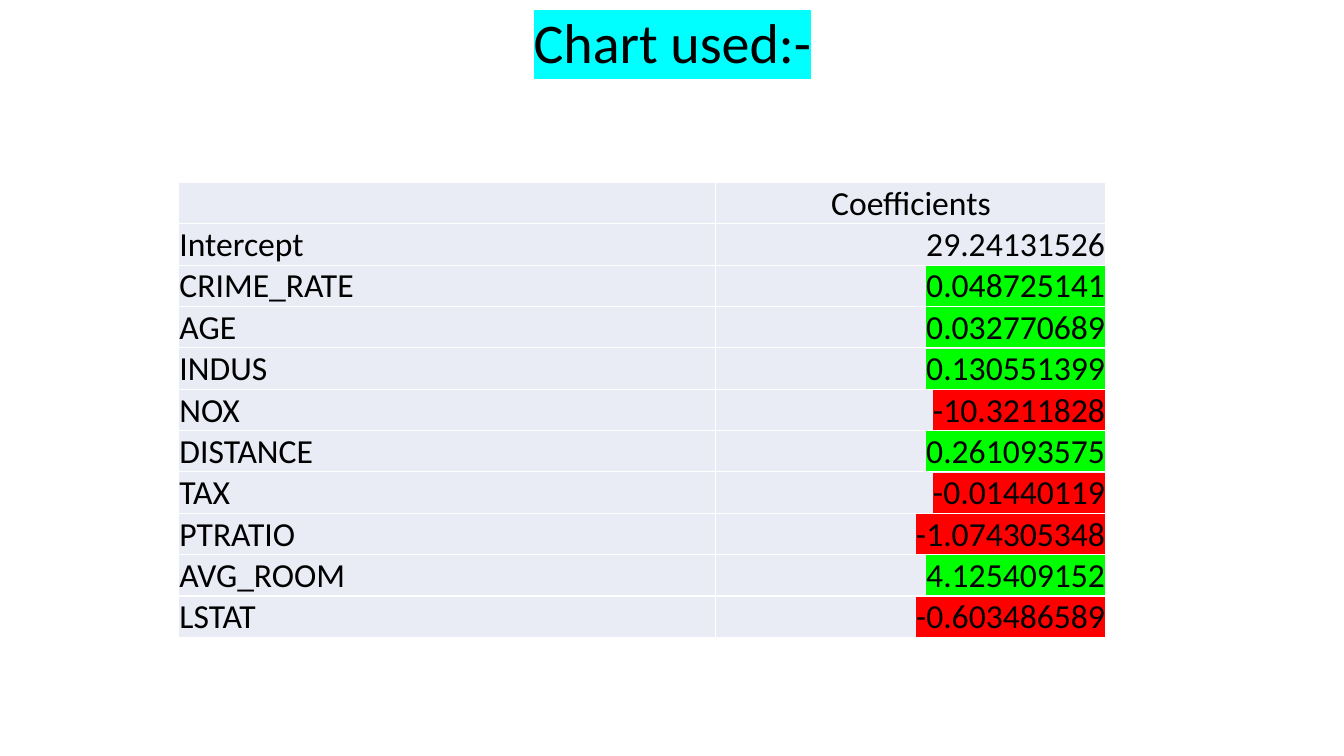
from lxml import etree
from pptx import Presentation
from pptx.dml.color import RGBColor
from pptx.enum.text import MSO_ANCHOR, PP_ALIGN
from pptx.oxml.ns import qn
from pptx.util import Inches, Pt

LEFT, CENTER, RIGHT = PP_ALIGN.LEFT, PP_ALIGN.CENTER, PP_ALIGN.RIGHT
BOTTOM = MSO_ANCHOR.BOTTOM

THEME = {
    "font": "Calibri",
    "title_size": 40,
    "table_size": 24,
    "text": "000000",
    "title_highlight": "00FFFF",
    "positive": "00FF00",
    "negative": "FF0000",
    "cell": "E9EBF5",
    "border": "FFFFFF",
}

COEFFICIENTS = [
    ("Intercept", "29.24131526"),
    ("CRIME_RATE", "0.048725141"),
    ("AGE", "0.032770689"),
    ("INDUS", "0.130551399"),
    ("NOX", "-10.3211828"),
    ("DISTANCE", "0.261093575"),
    ("TAX", "-0.01440119"),
    ("PTRATIO", "-1.074305348"),
    ("AVG_ROOM", "4.125409152"),
    ("LSTAT", "-0.603486589"),
]


def write_text(paragraph, text, size=THEME["table_size"], align=LEFT, highlight=None):
    """Write one formatted run, with an optional highlight colour."""
    paragraph.alignment = align
    run = paragraph.add_run()
    run.text = text
    run.font.size = Pt(size)
    run.font.name = THEME["font"]
    run.font.color.rgb = RGBColor.from_string(THEME["text"])
    if highlight:
        marker = etree.Element(qn("a:highlight"))
        etree.SubElement(marker, qn("a:srgbClr"), val=highlight)
        run.font._element.find(qn("a:solidFill")).addnext(marker)


def format_cell(cell):
    """Set the fill, margins, anchor and thin borders of a table cell."""
    cell.fill.solid()
    cell.fill.fore_color.rgb = RGBColor.from_string(THEME["cell"])
    cell.margin_left = cell.margin_right = cell.margin_top = Inches(0.01)
    cell.margin_bottom = 0
    cell.vertical_anchor = BOTTOM
    properties = cell._tc.get_or_add_tcPr()
    for position, side in enumerate(("a:lnL", "a:lnR", "a:lnT", "a:lnB")):
        line = etree.Element(qn(side), w=str(Pt(1)))
        fill = etree.SubElement(line, qn("a:solidFill"))
        etree.SubElement(fill, qn("a:srgbClr"), val=THEME["border"])
        properties.insert(position, line)


presentation = Presentation()
presentation.slide_width = Inches(13.33)
presentation.slide_height = Inches(7.5)
slide = presentation.slides.add_slide(presentation.slide_layouts[6])

# Title
title = slide.shapes.add_textbox(Inches(1.67), Inches(0.11), Inches(10), Inches(0.69))
title.text_frame.word_wrap = True
title.text_frame.vertical_anchor = BOTTOM
title_paragraph = title.text_frame.paragraphs[0]
title_paragraph.line_spacing = 0.9
write_text(title_paragraph, "Chart used:-", size=THEME["title_size"],
           align=CENTER, highlight=THEME["title_highlight"])

# Coefficient table
table = slide.shapes.add_table(
    len(COEFFICIENTS) + 1, 2, Inches(1.77), Inches(1.81), Inches(9.2), Inches(4.48)
).table
table.columns[0].width = Inches(5.33)
table.columns[1].width = Inches(3.87)
for cell in table.iter_cells():
    format_cell(cell)

write_text(table.cell(0, 1).text_frame.paragraphs[0], "Coefficients", align=CENTER)
for row, (variable, value) in enumerate(COEFFICIENTS, start=1):
    sign_color = THEME["negative" if value.startswith("-") else "positive"]
    highlight = None if variable == "Intercept" else sign_color
    write_text(table.cell(row, 0).text_frame.paragraphs[0], variable)
    write_text(table.cell(row, 1).text_frame.paragraphs[0], value,
               align=RIGHT, highlight=highlight)

presentation.save("out.pptx")
